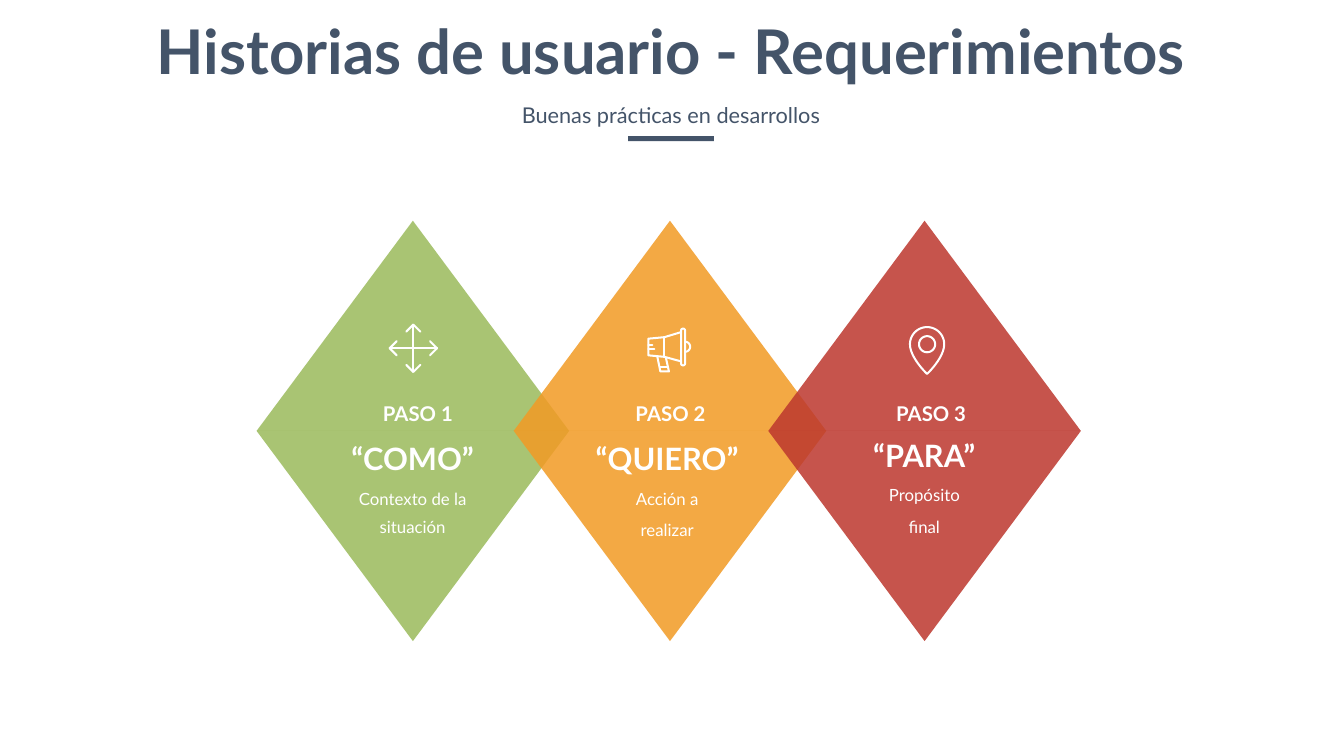
from dataclasses import dataclass
from math import cos, radians, sin

from lxml.etree import SubElement
from pptx import Presentation
from pptx.dml.color import RGBColor
from pptx.enum.shapes import MSO_SHAPE
from pptx.enum.text import MSO_ANCHOR, MSO_AUTO_SIZE, PP_ALIGN
from pptx.oxml.ns import qn
from pptx.util import Inches, Pt


@dataclass(frozen=True)
class Theme:
    font: str = "Lato"
    ink: str = "445469"
    white: str = "FFFFFF"
    title: int = 88
    subtitle: int = 31
    step: int = 29
    keyword: int = 44
    detail: int = 24
    step_leading: float = 37.3
    leading: float = 40.4
    icon_stroke: float = 2.9
    opacity: int = 86


THEME = Theme()


def arc(center_x, center_y, radius, start, end, pieces=32):
    angles = [radians(start + (end - start) * i / pieces) for i in range(pieces + 1)]
    return [(center_x + radius * cos(a), center_y + radius * sin(a)) for a in angles]


def curve(start, control, end, pieces=12):
    ratios = [i / pieces for i in range(pieces + 1)]
    return [tuple((1 - t) ** 3 * a + 3 * (1 - t) ** 2 * t * b
                  + (3 * (1 - t) * t ** 2 + t ** 3) * c
                  for a, b, c in zip(start, control, end)) for t in ratios]


def turned(points, degrees):
    c, s = cos(radians(degrees)), sin(radians(degrees))
    return [(x * c - y * s, x * s + y * c) for x, y in points]


ARROWS = [[(-0.47, 0), (0.47, 0)], [(0, -0.47), (0, 0.47)]] + [
    turned([(0.33, -0.14), (0.47, 0), (0.33, 0.14)], angle)
    for angle in (0, 90, 180, 270)
]
MEGAPHONE = [
    [(0.23, -0.36), (-0.1, -0.26), (-0.42, -0.23), (-0.42, 0.1), (-0.1, 0.13), (0.23, 0.22)],
    [(-0.1, -0.26), (-0.1, 0.13)],
    arc(0.27, -0.39, 0.04, 180, 360) + arc(0.27, 0.26, 0.04, 0, 180) + [(0.23, -0.39)],
    arc(0.31, -0.07, 0.1, -90, 90),
    [(-0.24, 0.13), (-0.18, 0.42), (-0.01, 0.42), (-0.07, 0.15)],
    [(-0.19, 0.34), (-0.03, 0.34)],
    [(-0.42, -0.11), (-0.34, -0.11)],
    [(-0.42, -0.03), (-0.3, -0.03)],
]
PIN_SIDE = curve((0.34, -0.13), (0.34, 0.14), (0, 0.46))
PIN = [
    arc(0, -0.13, 0.16, 0, 360),
    arc(0, -0.13, 0.34, 180, 360) + PIN_SIDE + [(-x, y) for x, y in reversed(PIN_SIDE)],
]

TITLE = "Historias de usuario - Requerimientos"
SUBTITLE = "Buenas prácticas en desarrollos"
STEPS = [
    {"label": "PASO 1", "keyword": "“COMO”", "details": ["Contexto de la situación"],
     "color": "9BBB5C", "left": 5.09, "label_left": 7.56, "text_at": (6.4, 8.78),
     "icon": ARROWS, "icon_center": (8.2, 6.91)},
    {"label": "PASO 2", "keyword": "“QUIERO”", "details": ["Acción a", "realizar"],
     "color": "F29B26", "left": 10.19, "label_left": 12.57, "text_at": (11.45, 8.78),
     "icon": MEGAPHONE, "icon_center": (13.28, 6.95)},
    {"label": "PASO 3", "keyword": "“PARA”", "details": ["Propósito", "final"],
     "color": "BD392F", "left": 15.24, "label_left": 17.74, "text_at": (16.55, 8.71),
     "icon": PIN, "icon_center": (18.39, 6.96)},
]
DIAMOND_TOP, DIAMOND_WIDTH, HALF_HEIGHT = 4.38, 6.2, 4.17


def box(left, top, width, height):
    return [Inches(v) for v in (left, top, width, height)]


def place(shape, bounds):
    shape.left, shape.top, shape.width, shape.height = box(*bounds)


def paint(shape, color):
    shape.shadow.inherit = False
    shape.fill.solid()
    shape.fill.fore_color.rgb = RGBColor.from_string(color)
    shape.line.fill.background()


def write(shape, lines, color, inset, wrap=False, leading=None):
    frame = shape.text_frame
    frame.word_wrap = wrap
    frame.auto_size = MSO_AUTO_SIZE.NONE
    frame.vertical_anchor = MSO_ANCHOR.TOP
    frame.margin_left = frame.margin_right = Inches(inset[0])
    frame.margin_top = frame.margin_bottom = Inches(inset[1])
    for index, (text, size, bold) in enumerate(lines):
        paragraph = frame.paragraphs[0] if index == 0 else frame.add_paragraph()
        paragraph.text = text
        paragraph.alignment = PP_ALIGN.CENTER
        paragraph.space_before = Pt(size * 0.2 if index else 0)
        if leading:
            paragraph.line_spacing = leading
        paragraph.font.name = THEME.font
        paragraph.font.size = Pt(size)
        paragraph.font.bold = bold
        paragraph.font.color.rgb = RGBColor.from_string(color)


def add_diamond(slide, left, color):
    diamond = slide.shapes.add_group_shape()
    for row, rotation in enumerate((0, 180)):
        half = diamond.shapes.add_shape(
            MSO_SHAPE.ISOSCELES_TRIANGLE,
            *box(left, DIAMOND_TOP + row * HALF_HEIGHT, DIAMOND_WIDTH, HALF_HEIGHT))
        half.rotation = rotation
        paint(half, color)
        tint = half._element.spPr.find(qn("a:solidFill"))[0]
        SubElement(tint, qn("a:alpha")).set("val", str(THEME.opacity * 1000))


def add_icon(slide, strokes, center):
    strokes = [[(Inches(center[0] + x), Inches(center[1] + y)) for x, y in stroke]
               for stroke in strokes]
    builder = slide.shapes.build_freeform(*strokes[0][0])
    for stroke in strokes:
        builder.move_to(*stroke[0])
        builder.add_line_segments(stroke[1:], close=False)
    icon = builder.convert_to_shape()
    icon.shadow.inherit = False
    icon.fill.background()
    icon.line.color.rgb = RGBColor.from_string(THEME.white)
    icon.line.width = Pt(THEME.icon_stroke)
    outline = icon._element.spPr.find(qn("a:ln"))
    outline.set("cap", "rnd")
    SubElement(outline, qn("a:round"))


def main():
    deck = Presentation()
    deck.slide_width, deck.slide_height = Inches(26.66), Inches(15)
    slide = deck.slides.add_slide(deck.slide_layouts[0])
    title, subtitle = slide.placeholders
    place(title, (2.06, 0.21, 22.5, 1.58))
    write(title, [(TITLE, THEME.title, True)], THEME.ink, (0.1, 0.05))
    place(subtitle, (9.97, 1.79, 6.67, 0.81))
    write(subtitle, [(SUBTITLE, THEME.subtitle, False)], THEME.ink, (0.24, 0.12), leading=1.2)
    paint(slide.shapes.add_shape(MSO_SHAPE.RECTANGLE, *box(12.46, 2.7, 1.7, 0.1)), THEME.ink)

    for step in STEPS:
        add_diamond(slide, step["left"], step["color"])
    for step in STEPS:
        label = slide.shapes.add_textbox(*box(step["label_left"], 7.93, 1.46, 0.48))
        write(label, [(step["label"], THEME.step, True)], THEME.white, (0, 0),
              leading=Pt(THEME.step_leading))
        add_icon(slide, step["icon"], step["icon_center"])
        message = slide.shapes.add_textbox(*box(*step["text_at"], 3.57, 2.08))
        lines = [(step["keyword"], THEME.keyword, True)]
        lines += [(detail, THEME.detail, False) for detail in step["details"]]
        write(message, lines, THEME.white, (0.24, 0.12), wrap=True, leading=Pt(THEME.leading))

    deck.save("out.pptx")


if __name__ == "__main__":
    main()
